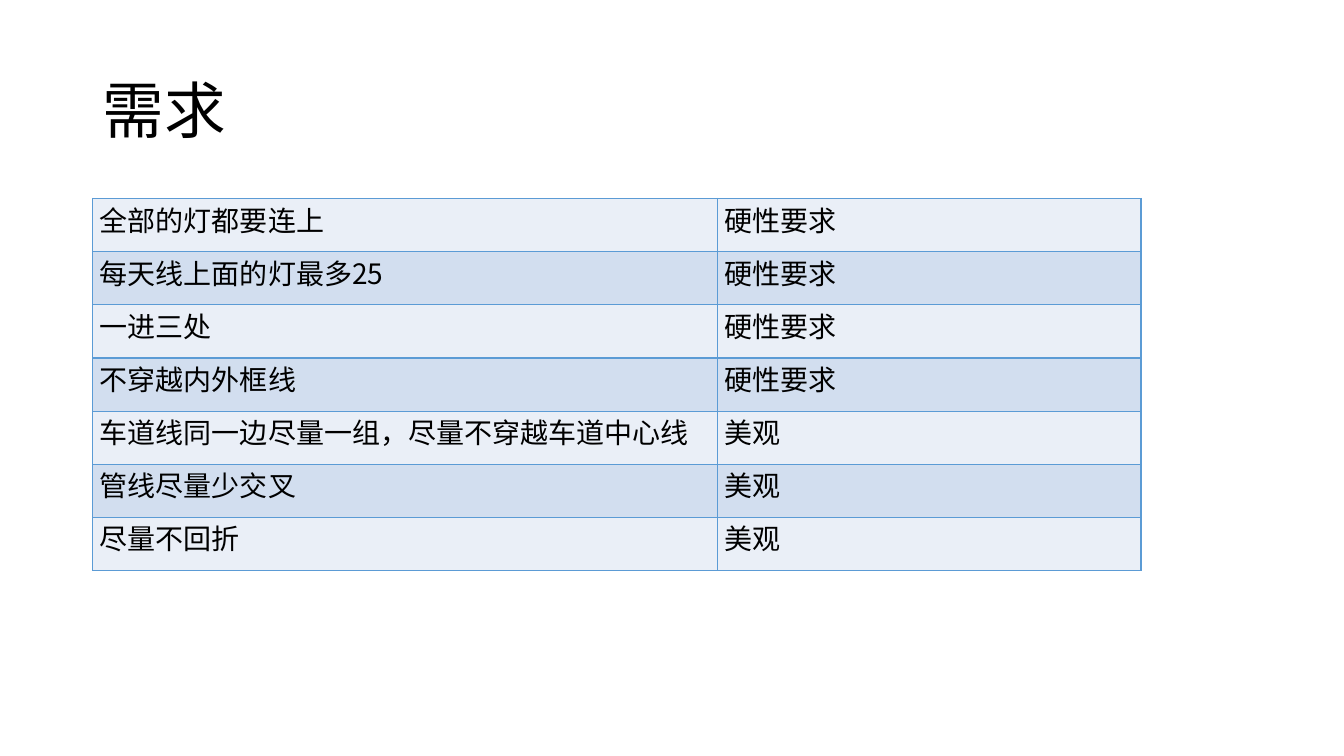
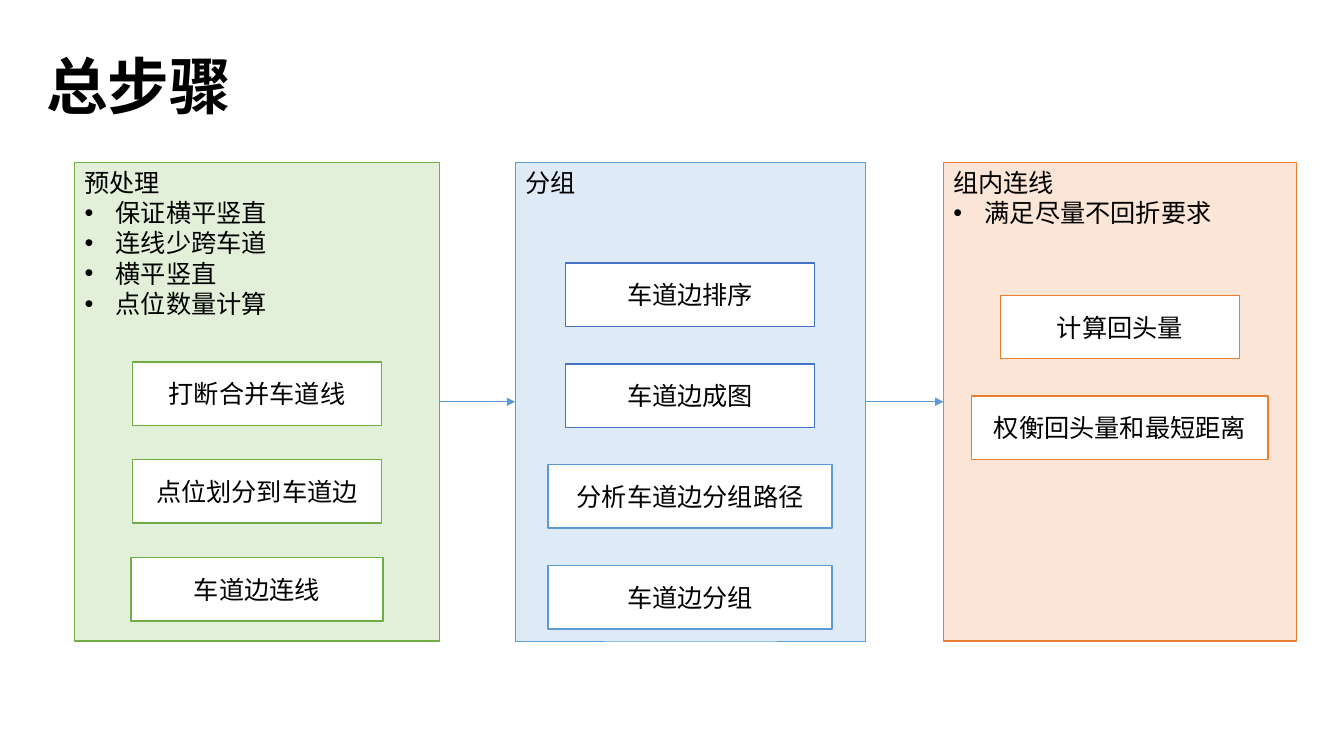
"""Build a table of needs and a three-stage flow of steps."""
from dataclasses import dataclass
from itertools import pairwise

from lxml import etree
from pptx import Presentation
from pptx.dml.color import RGBColor
from pptx.enum.shapes import MSO_CONNECTOR, MSO_SHAPE
from pptx.enum.text import MSO_ANCHOR, PP_ALIGN
from pptx.oxml.ns import qn
from pptx.util import Inches, Pt

LEFT, CENTER, JUSTIFY = PP_ALIGN.LEFT, PP_ALIGN.CENTER, PP_ALIGN.JUSTIFY
TOP, MIDDLE = MSO_ANCHOR.TOP, MSO_ANCHOR.MIDDLE
RECT, STRAIGHT = MSO_SHAPE.RECTANGLE, MSO_CONNECTOR.STRAIGHT
WIDE, HIGH = Inches(13.33), Inches(7.5)


@dataclass(frozen=True)
class Theme:
    """Colours, font and type sizes of the deck."""
    font: str = "Noto Sans CJK SC"
    ink: str = "000000"
    white: str = "FFFFFF"
    blue: str = "5B9BD5"
    navy: str = "4472C4"
    green: str = "70AD47"
    orange: str = "ED7D31"
    pale_blue: str = "DEEBF7"
    pale_green: str = "E2F0D9"
    pale_orange: str = "FBE5D6"
    bands: tuple[str, str] = ("EAEFF7", "D2DEEF")
    title: int = 44
    cell: int = 20
    body: int = 18
    thin: float = 0.5
    line: float = 1


@dataclass(frozen=True)
class Step:
    """A white box inside a stage."""
    text: str
    width: float
    edge: str


@dataclass(frozen=True)
class Stage:
    """A tinted panel with notes and evenly spaced steps."""
    title: str
    notes: tuple[str, ...]
    left: float
    width: float
    fill: str
    edge: str
    weight: float
    first: float
    pitch: float
    steps: tuple[Step, ...]


THEME = Theme()
TITLE_SIZE = (86.25, 19.33)
STAGE_TOP, STAGE_HIGH, STEP_HIGH = 21.47, 63.33, 8.4
TABLE_LEFT, TABLE_TOP, ROW_HIGH = 6.9, 26.27, 7.03
COLUMNS = (46.5, 31.5)
HARD, NEAT = "硬性要求", "美观"
NEEDS = (
    ("全部的灯都要连上", HARD),
    ("每天线上面的灯最多25", HARD),
    ("一进三处", HARD),
    ("不穿越内外框线", HARD),
    ("车道线同一边尽量一组，尽量不穿越车道中心线", NEAT),
    ("管线尽量少交叉", NEAT),
    ("尽量不回折", NEAT),
)
STAGES = (
    Stage("预处理", ("保证横平竖直", "连线少跨车道", "横平竖直", "点位数量计算"),
          5.55, 27.15, THEME.pale_green, THEME.green, THEME.line, 47.87, 12.93, (
              Step("打断合并车道线", 18.53, THEME.green),
              Step("点位划分到车道边", 18.53, THEME.green),
              Step("车道边连线", 18.75, THEME.green))),
    Stage("分组", (),
          38.33, 26.03, THEME.pale_blue, THEME.blue, THEME.thin, 34.8, 13.33, (
              Step("车道边排序", 18.53, THEME.navy),
              Step("车道边成图", 18.53, THEME.navy),
              Step("分析车道边分组路径", 21.15, THEME.blue),
              Step("车道边分组", 21.15, THEME.blue))),
    Stage("组内连线", ("满足尽量不回折要求",),
          70.2, 26.25, THEME.pale_orange, THEME.orange, THEME.line, 39.07, 13.33, (
              Step("计算回头量", 17.78, THEME.orange),
              Step("权衡回头量和最短距离", 22.05, THEME.orange))),
)


def across(share: float) -> int:
    """Turn a percentage of the slide's width into a length."""
    return round(WIDE * share / 100)


def down(share: float) -> int:
    """Turn a percentage of the slide's height into a length."""
    return round(HIGH * share / 100)


def tint(hue: str) -> RGBColor:
    """Read a colour of the theme."""
    return RGBColor.from_string(hue)


def style(para, size: int, align=LEFT, bold: bool = False) -> None:
    """Set the font and alignment of a paragraph."""
    para.alignment = align
    font = para.font
    font.name, font.size, font.bold = THEME.font, Pt(size), bold
    font.color.rgb = tint(THEME.ink)
    props = para._p.pPr.find(qn("a:defRPr"))
    etree.SubElement(props, qn("a:ea"), typeface=THEME.font)


def bullet(para) -> None:
    """Give a paragraph a hanging bullet."""
    props = para._p.get_or_add_pPr()
    props.set("marL", str(Inches(0.31)))
    props.set("indent", str(-Inches(0.31)))
    etree.SubElement(props, qn("a:buFont"), typeface="Arial")
    etree.SubElement(props, qn("a:buChar"), char="•")


def add_slide(deck, text: str, left: float, top: float, bold: bool = False):
    """Add a slide and place its title."""
    slide = deck.slides.add_slide(deck.slide_layouts[5])
    title = slide.shapes.title
    title.left, title.top = across(left), down(top)
    title.width, title.height = across(TITLE_SIZE[0]), down(TITLE_SIZE[1])
    frame = title.text_frame
    frame.text, frame.vertical_anchor = text, MIDDLE
    para = frame.paragraphs[0]
    para.line_spacing = 0.9
    style(para, THEME.title, bold=bold)
    return slide


def add_box(slide, left: float, top: float, width: float, height: float,
            fill: str, edge: str, weight: float):
    """Add a flat rectangle."""
    box = slide.shapes.add_shape(
        RECT, across(left), down(top), across(width), down(height))
    box.shadow.inherit = False
    box.fill.solid()
    box.fill.fore_color.rgb = tint(fill)
    box.line.color.rgb = tint(edge)
    box.line.width = Pt(weight)
    box.text_frame.word_wrap = True
    return box


def add_stage(slide, stage: Stage):
    """Draw a stage with its steps centred in it."""
    panel = add_box(slide, stage.left, STAGE_TOP, stage.width, STAGE_HIGH,
                    stage.fill, stage.edge, stage.weight)
    frame = panel.text_frame
    frame.vertical_anchor = TOP
    frame.text = "\n".join((stage.title, *stage.notes))
    for rank, para in enumerate(frame.paragraphs):
        if rank:
            bullet(para)
        style(para, THEME.body)
    for rank, step in enumerate(stage.steps):
        left = stage.left + (stage.width - step.width) / 2
        box = add_box(slide, left, stage.first + rank * stage.pitch,
                      step.width, STEP_HIGH, THEME.white, step.edge, THEME.line)
        box.text_frame.text = step.text
        box.text_frame.vertical_anchor = MIDDLE
        style(box.text_frame.paragraphs[0], THEME.body, CENTER)
    return panel


def add_arrow(slide, start, end) -> None:
    """Link the right side of one panel to the left of the next."""
    arrow = slide.shapes.add_connector(STRAIGHT, 0, 0, 0, 0)
    arrow.begin_connect(start, 3)
    arrow.end_connect(end, 1)
    arrow.line.color.rgb = tint(THEME.blue)
    arrow.line.width = Pt(THEME.thin)
    props = arrow._element.spPr
    etree.SubElement(props.find(qn("a:ln")), qn("a:tailEnd"), type="triangle")
    etree.SubElement(props, qn("a:effectLst"))


def fill_cell(cell, text: str, fill: str) -> None:
    """Write a cell with its borders and fill."""
    cell.text = text
    cell.margin_left = cell.margin_right = Inches(0.07)
    cell.margin_top = cell.margin_bottom = 0
    cell.vertical_anchor = TOP
    style(cell.text_frame.paragraphs[0], THEME.cell, JUSTIFY)
    props = cell._tc.get_or_add_tcPr()
    for side in "LRTB":
        edge = etree.SubElement(props, qn(f"a:ln{side}"), w=str(Pt(THEME.line)))
        solid = etree.SubElement(edge, qn("a:solidFill"))
        etree.SubElement(solid, qn("a:srgbClr"), val=THEME.blue)
    cell.fill.solid()
    cell.fill.fore_color.rgb = tint(fill)


def add_needs(slide) -> None:
    """Draw the table of needs."""
    table = slide.shapes.add_table(
        len(NEEDS), len(COLUMNS), across(TABLE_LEFT), down(TABLE_TOP),
        across(sum(COLUMNS)), down(ROW_HIGH * len(NEEDS))).table
    table.first_row = table.horz_banding = False
    for column, width in zip(table.columns, COLUMNS):
        column.width = across(width)
    for rank, (row, texts) in enumerate(zip(table.rows, NEEDS)):
        row.height = down(ROW_HIGH)
        for cell, text in zip(row.cells, texts):
            fill_cell(cell, text, THEME.bands[rank % 2])


def main() -> None:
    """Build and save the deck."""
    deck = Presentation()
    deck.slide_width, deck.slide_height = WIDE, HIGH
    add_needs(add_slide(deck, "需求", 6.9, 5.33))
    flow = add_slide(deck, "总步骤", 2.7, 2.13, bold=True)
    panels = [add_stage(flow, stage) for stage in STAGES]
    for start, end in pairwise(panels):
        add_arrow(flow, start, end)
    deck.save("out.pptx")


if __name__ == "__main__":
    main()
